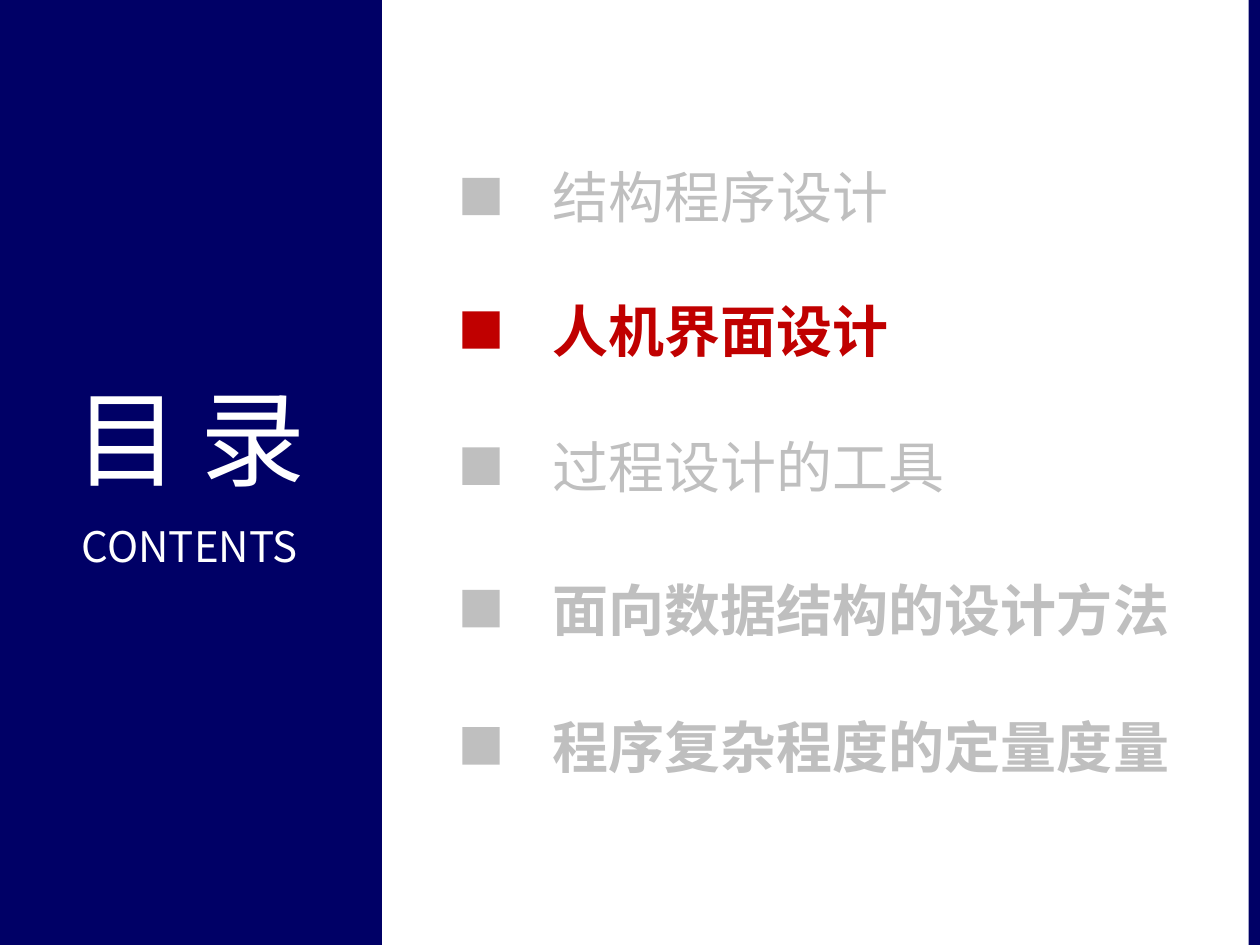
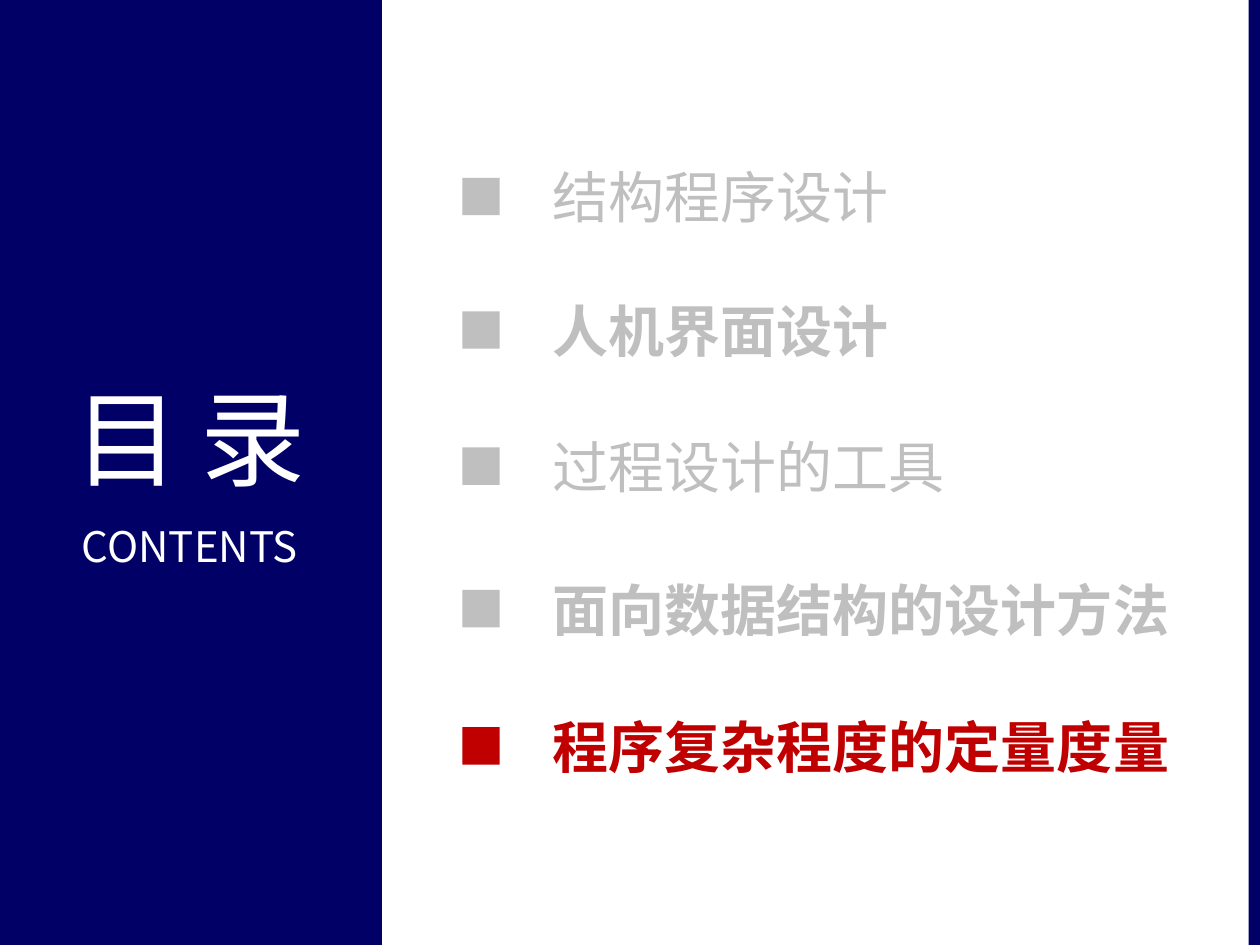
from lxml.etree import SubElement
from pptx import Presentation
from pptx.dml.color import RGBColor
from pptx.enum.shapes import MSO_SHAPE
from pptx.enum.text import MSO_ANCHOR, MSO_AUTO_SIZE, PP_ALIGN
from pptx.oxml.ns import qn
from pptx.util import Pt

FONT = "Noto Sans CJK SC"
NAVY, WHITE, GREY, RED = "000066", "FFFFFF", "BFBFBF", "C00000"
PAGE_WIDTH, PAGE_HEIGHT = 720, 540

# Chapter title, top of its row, bold
CHAPTERS = [
    ("结构程序设计", 89.3, False),
    ("人机界面设计", 165.6, True),
    ("过程设计的工具", 243.4, False),
    ("面向数据结构的设计方法", 324.8, True),
    ("程序复杂程度的定量度量", 403.2, True),
]
CURRENT_CHAPTERS = ["人机界面设计", "程序复杂程度的定量度量"]


def colour(hex_code):
    return RGBColor.from_string(hex_code)


def add_block(page, left, top, width, height, fill):
    block = page.shapes.add_shape(
        MSO_SHAPE.RECTANGLE, Pt(left), Pt(top), Pt(width), Pt(height))
    block.shadow.inherit = False
    block.fill.solid()
    block.fill.fore_color.rgb = colour(fill)
    block.line.fill.background()


def add_text(page, left, top, width, height, text):
    """Add a wrapping box that grows from its middle; return its paragraphs."""
    box = page.shapes.add_textbox(Pt(left), Pt(top), Pt(width), Pt(height))
    frame = box.text_frame
    frame.word_wrap = True
    frame.auto_size = MSO_AUTO_SIZE.SHAPE_TO_FIT_TEXT
    frame.vertical_anchor = MSO_ANCHOR.MIDDLE
    frame.text = text
    return frame.paragraphs


def style_para(para, size, hex_code, bold=False, spacing=0):
    for span in para.runs:
        span.font.size = Pt(size)
        span.font.bold = bold
        span.font.name = FONT
        span.font.color.rgb = colour(hex_code)
        properties = span.font._element
        properties.set("spc", str(spacing * 100))
        SubElement(properties, qn("a:ea")).set("typeface", FONT)


def space_before(para, percent):
    spacing = SubElement(para._p.get_or_add_pPr(), qn("a:spcBef"))
    SubElement(spacing, qn("a:spcPct")).set("val", str(percent * 1000))


def add_title_band(page, left, width):
    add_block(page, left, 0, width, PAGE_HEIGHT, NAVY)
    heading, subheading = add_text(
        page, left, 208, width, 124, "目录\nCONTENTS")
    style_para(heading, 60, WHITE, spacing=12)
    style_para(subheading, 24, WHITE)
    for para in (heading, subheading):
        para.alignment = PP_ALIGN.CENTER
        space_before(para, 50)


def add_edge_band(page, width):
    add_block(page, PAGE_WIDTH - width, 0, width, PAGE_HEIGHT, NAVY)


def add_chapter(page, left, top, title, bold, hex_code):
    row_height, marker = 46, 21.4
    add_block(page, left, top + (row_height - marker) / 2,
              marker, marker, hex_code)
    para = add_text(page, left + 44.6, top, 398, row_height, title)[0]
    style_para(para, 32, hex_code, bold)


def add_contents_page(deck, current):
    page = deck.slides.add_slide(deck.slide_layouts[6])
    add_title_band(page, -1.4, 219.6)
    add_edge_band(page, 6.4)
    for title, top, bold in CHAPTERS:
        hex_code = RED if title == current else GREY
        add_chapter(page, 264.2, top, title, bold, hex_code)


def main():
    deck = Presentation()
    deck.slide_width, deck.slide_height = Pt(PAGE_WIDTH), Pt(PAGE_HEIGHT)
    for current in CURRENT_CHAPTERS:
        add_contents_page(deck, current)
    deck.save("out.pptx")


if __name__ == "__main__":
    main()
